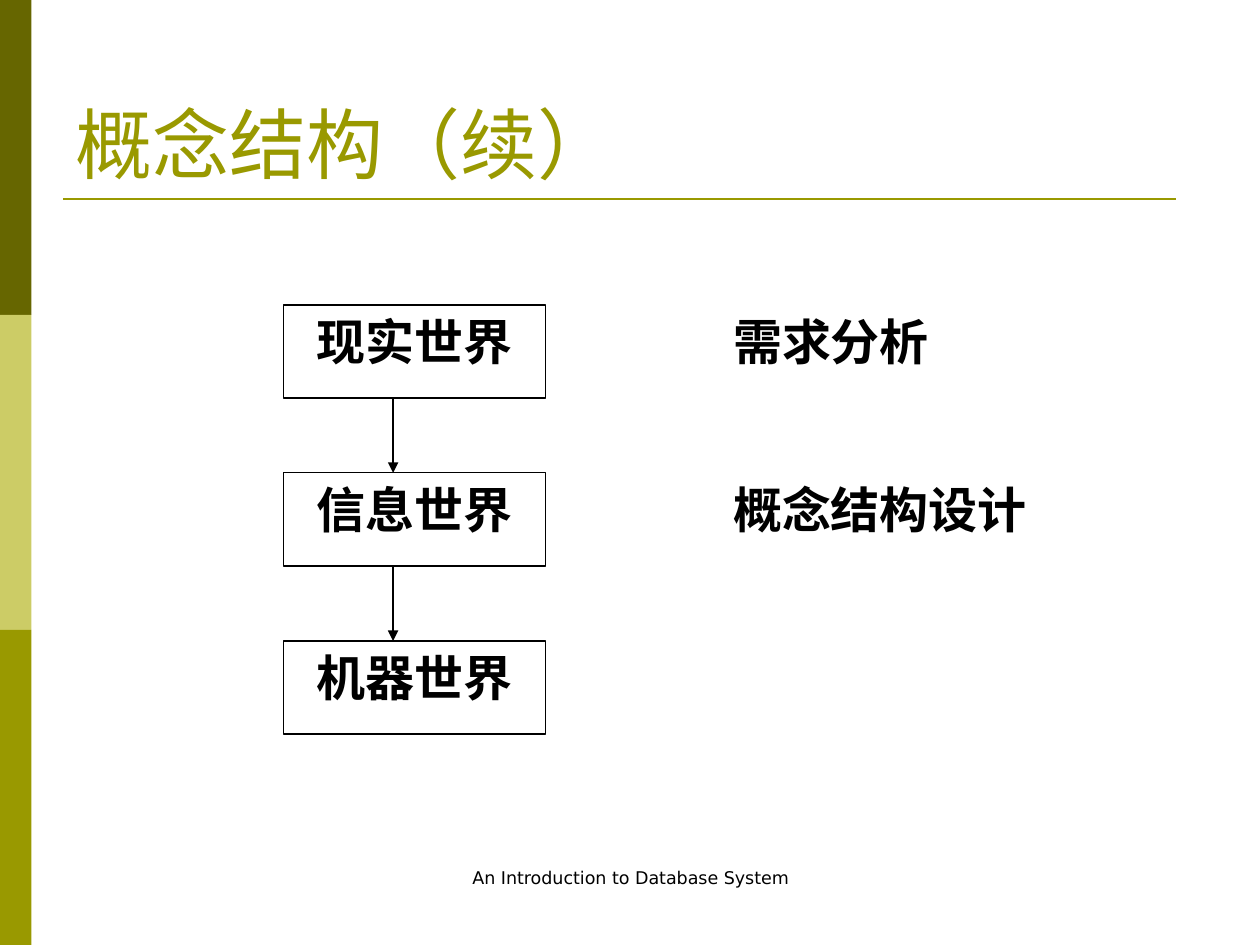
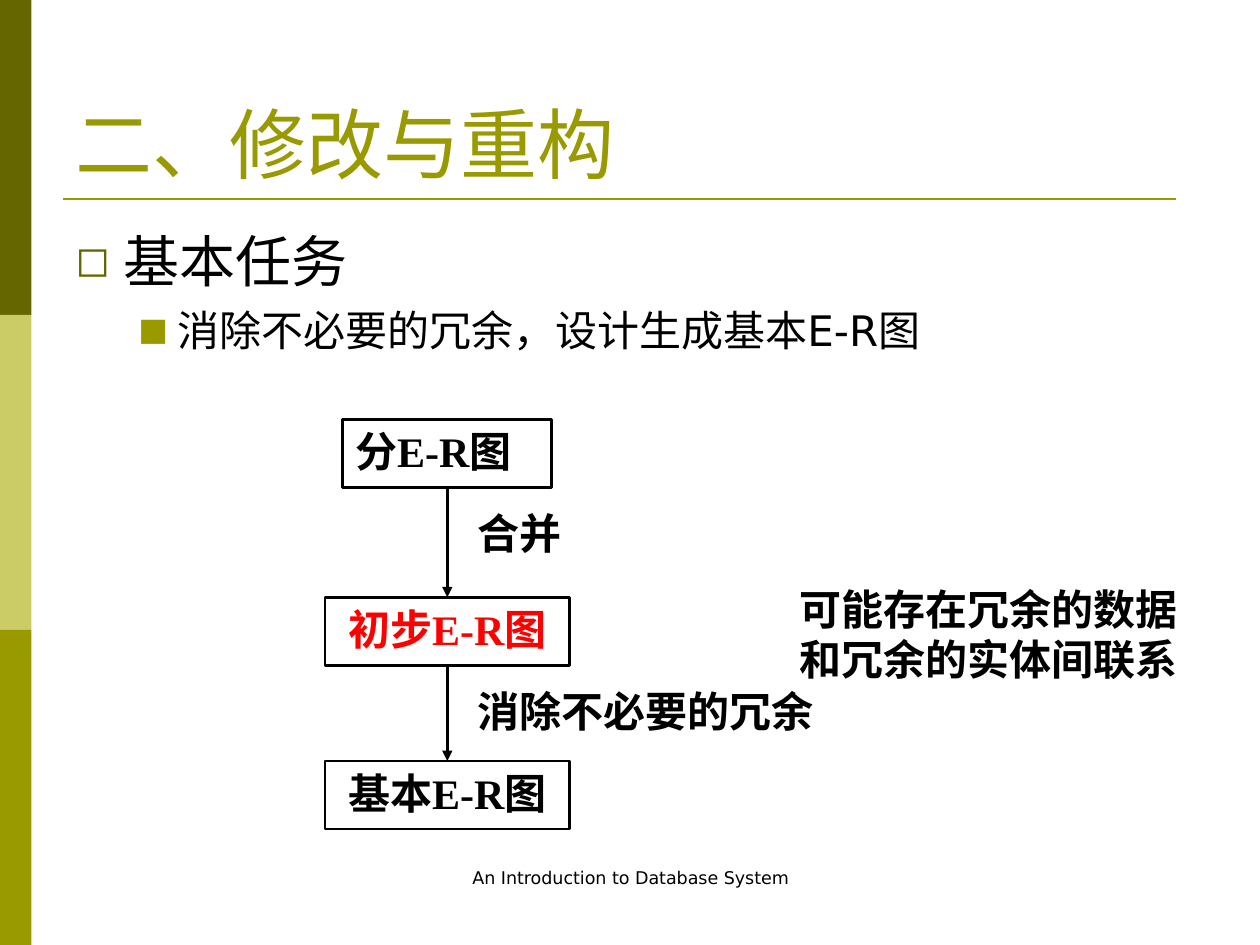
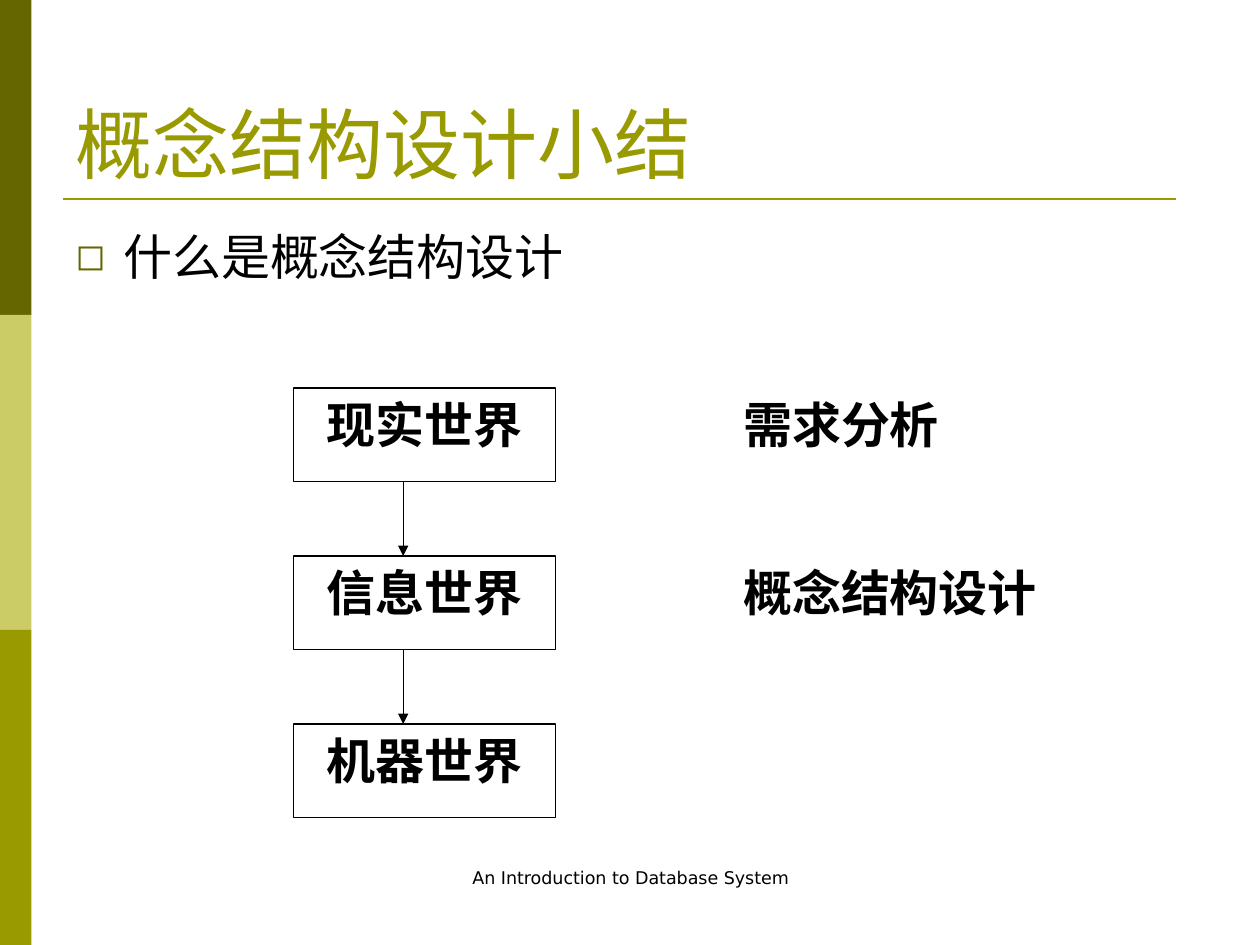
"""Build three database design slides that share one olive frame."""
from dataclasses import dataclass, field, replace
from itertools import pairwise

from lxml.etree import SubElement
from pptx import Presentation
from pptx.dml.color import RGBColor
from pptx.enum.shapes import MSO_CONNECTOR as CONN, MSO_SHAPE as SHAPE
from pptx.enum.text import MSO_ANCHOR as ANCHOR, PP_ALIGN as ALIGN
from pptx.oxml.ns import qn
from pptx.util import Inches, Pt


@dataclass(frozen=True)
class Theme:
    dark: RGBColor = RGBColor(0x66, 0x66, 0x00)
    pale: RGBColor = RGBColor(0xCC, 0xCC, 0x66)
    olive: RGBColor = RGBColor(0x99, 0x99, 0x00)
    black: RGBColor = RGBColor(0x00, 0x00, 0x00)
    red: RGBColor = RGBColor(0xFF, 0x00, 0x00)
    serif: str = "Times New Roman"
    sans: str = "DejaVu Sans"
    title: int = 44
    head: int = 32
    large: int = 28
    medium: int = 24
    footer: int = 10
    thin: float = 0.75
    thick: float = 1.5


T = Theme()


@dataclass(frozen=True)
class Style:
    size: int
    name: str = T.serif
    color: RGBColor = T.black
    bold: bool = False
    align: ALIGN = ALIGN.LEFT


@dataclass(frozen=True)
class Bullet:
    char: str
    color: RGBColor
    margin: float
    hang: float
    level: int = 0


@dataclass(frozen=True)
class Para:
    text: str
    style: Style
    bullet: Bullet | None = None
    before: int = 0


@dataclass(frozen=True)
class Area:
    left: float
    top: float
    width: float
    height: float

    def emu(self) -> list:
        return [Inches(v) for v in (self.left, self.top, self.width, self.height)]


@dataclass(frozen=True)
class Box:
    text: str
    area: Area
    style: Style
    weight: float = field(default=T.thin)


TITLE = Style(T.title, color=T.olive)
FOOTER = Style(T.footer, T.sans, align=ALIGN.CENTER)
WORLD = Style(T.large, bold=True, align=ALIGN.CENTER)
STAGE = replace(WORLD, align=ALIGN.JUSTIFY)
DIAGRAM = replace(WORLD, size=T.medium)
NOTE = replace(STAGE, size=T.medium)
HOLLOW = Bullet("◻", T.dark, 0.38, 0.38)
SOLID = Bullet("■", T.olive, 0.81, 0.31, 1)


def add_bullet(p, bullet: Bullet) -> None:
    """Give a paragraph a coloured bullet with a hanging indent."""
    p.level = bullet.level
    pPr = p._p.get_or_add_pPr()
    pPr.set("marL", str(Inches(bullet.margin)))
    pPr.set("indent", str(-Inches(bullet.hang)))
    color = SubElement(pPr, qn("a:buClr"))
    SubElement(color, qn("a:srgbClr"), val=str(bullet.color))
    SubElement(pPr, qn("a:buSzPct"), val="75000")
    SubElement(pPr, qn("a:buFont"), typeface=T.sans)
    SubElement(pPr, qn("a:buChar"), char=bullet.char)


def fill_text(sp, paras: list[Para], anchor: ANCHOR = ANCHOR.TOP) -> None:
    """Write styled paragraphs into a shape."""
    tf = sp.text_frame
    tf.word_wrap, tf.vertical_anchor = True, anchor
    for i, para in enumerate(paras):
        p = tf.add_paragraph() if i else tf.paragraphs[0]
        style = para.style
        p.alignment, p.space_before = style.align, Pt(para.before)
        if para.bullet:
            add_bullet(p, para.bullet)
        r = p.add_run()
        r.text = para.text
        fmt = {"name": style.name, "size": Pt(style.size), "bold": style.bold}
        for key, value in fmt.items():
            setattr(r.font, key, value)
        r.font.color.rgb = style.color


def add_text(s, area: Area, *paras: Para, anchor: ANCHOR = ANCHOR.TOP) -> None:
    """Add a wrapping text box."""
    fill_text(s.shapes.add_textbox(*area.emu()), list(paras), anchor)


def add_rect(s, area: Area):
    """Add a rectangle without a shadow."""
    sp = s.shapes.add_shape(SHAPE.RECTANGLE, *area.emu())
    sp.shadow.inherit = False
    return sp


def add_box(s, box: Box):
    """Add an outlined, unfilled box with text."""
    sp = add_rect(s, box.area)
    sp.fill.background()
    sp.line.color.rgb, sp.line.width = T.black, Pt(box.weight)
    fill_text(sp, [Para(box.text, box.style)])
    return sp


def add_line(s, start: tuple[float, float], end: tuple[float, float],
             color: RGBColor, weight: float, arrow: bool = False):
    """Add a straight line, with an arrowhead at its end if wanted."""
    points = [Inches(v) for v in (*start, *end)]
    line = s.shapes.add_connector(CONN.STRAIGHT, *points)
    line.line.color.rgb, line.line.width = color, Pt(weight)
    if arrow:
        SubElement(line.line._get_or_add_ln(), qn("a:tailEnd"), type="triangle")
    SubElement(line._element.spPr, qn("a:effectLst"))
    return line


def add_slide(prs, title: str):
    """Add a slide with side bands, title, rule and footer."""
    s = prs.slides.add_slide(prs.slide_layouts[6])
    for i, color in enumerate((T.dark, T.pale, T.olive)):
        band = add_rect(s, Area(0, 2.5 * i, 0.25, 2.5))
        band.fill.solid()
        band.fill.fore_color.rgb = color
        band.line.fill.background()
    add_line(s, (0.5, 1.58), (9.33, 1.58), T.olive, T.thick)
    add_text(s, Area(0.5, 0.3, 9, 1.25), Para(title, TITLE), anchor=ANCHOR.BOTTOM)
    add_text(s, Area(3.42, 6.83, 3.17, 0.5),
             Para("An Introduction to Database System", FOOTER))
    return s


def add_body(s, *paras: Para) -> None:
    """Add the bulleted body text."""
    add_text(s, Area(0.5, 1.75, 9, 4.95), *paras)


def add_worlds(s, left: float, top: float) -> None:
    """Draw the three worlds with the design stages beside them."""
    pitch, height, arrow_x = 4 / 3, 0.74, left + 0.87
    tops = [top + pitch * i for i in range(3)]
    for text, y in zip(("现实世界", "信息世界", "机器世界"), tops):
        add_box(s, Box(text, Area(left, y, 2.08, height), WORLD))
    for upper, lower in pairwise(tops):
        add_line(s, (arrow_x, upper + height), (arrow_x, lower), T.black, T.thin, True)
    for text, width, y in zip(("需求分析", "概念结构设计"), (1.91, 2.95), tops):
        add_text(s, Area(left + 3.47, y, width, 0.59), Para(text, STAGE))


def add_er_flow(s) -> None:
    """Draw the steps from partial to basic E-R diagram."""
    center, height = 3.55, 0.54
    steps = (
        ("分E-R图", 3.33, 1.66, NOTE),
        ("初步E-R图", 4.74, 1.94, replace(DIAGRAM, color=T.red)),
        ("基本E-R图", 6.04, 1.94, DIAGRAM),
    )
    boxes = [
        add_box(s, Box(text, Area(center - width / 2, top, width, height), style, T.thick))
        for text, top, width, style in steps
    ]
    for upper, lower in pairwise(boxes):
        arrow = add_line(s, (center, 0), (center, 1), T.black, T.thick, True)
        arrow.begin_connect(upper, 2)
        arrow.end_connect(lower, 0)
    notes = (
        (Area(3.69, 3.98, 1.24, 0.43), ["合并"]),
        (Area(3.69, 5.39, 3.03, 0.54), ["消除不必要的冗余"]),
        (Area(6.25, 4.58, 3.25, 0.83), ["可能存在冗余的数据", "和冗余的实体间联系"]),
    )
    for area, lines in notes:
        add_text(s, area, *(Para(line, NOTE) for line in lines))


def main() -> None:
    """Build and save the slides."""
    prs = Presentation()
    prs.slide_width, prs.slide_height = Inches(10), Inches(7.5)

    s = add_slide(prs, "概念结构（续）")
    add_worlds(s, 2.25, 2.42)

    s = add_slide(prs, "二、修改与重构")
    add_body(s, Para("基本任务", Style(T.head, T.sans), HOLLOW, 8),
             Para("消除不必要的冗余，设计生成基本E-R图", Style(T.medium, T.sans), SOLID, 6))
    add_er_flow(s)

    s = add_slide(prs, "概念结构设计小结")
    add_body(s, Para("什么是概念结构设计", Style(T.large, T.sans), HOLLOW, 7))
    add_worlds(s, 2.33, 3.08)

    prs.save("out.pptx")


if __name__ == "__main__":
    main()
